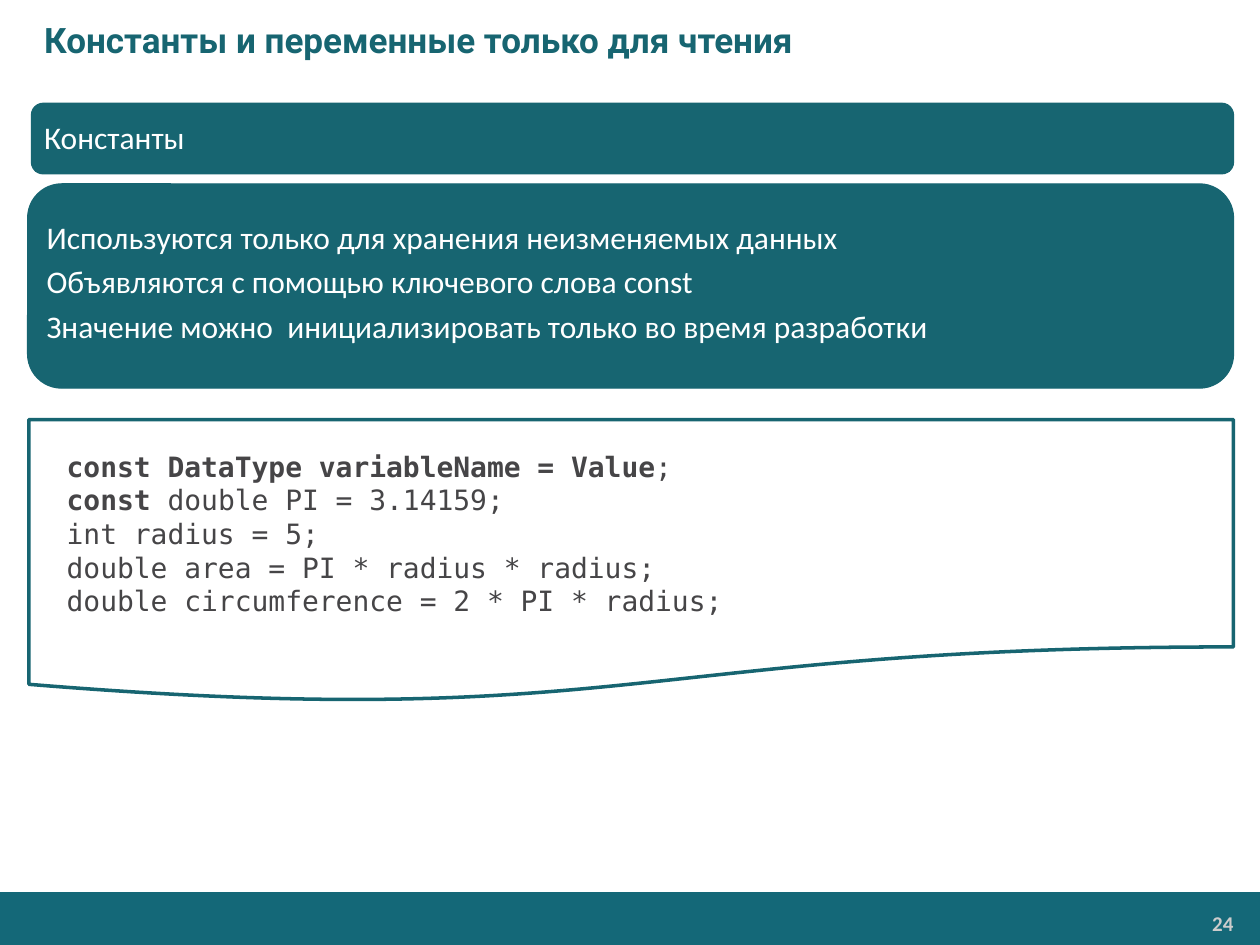
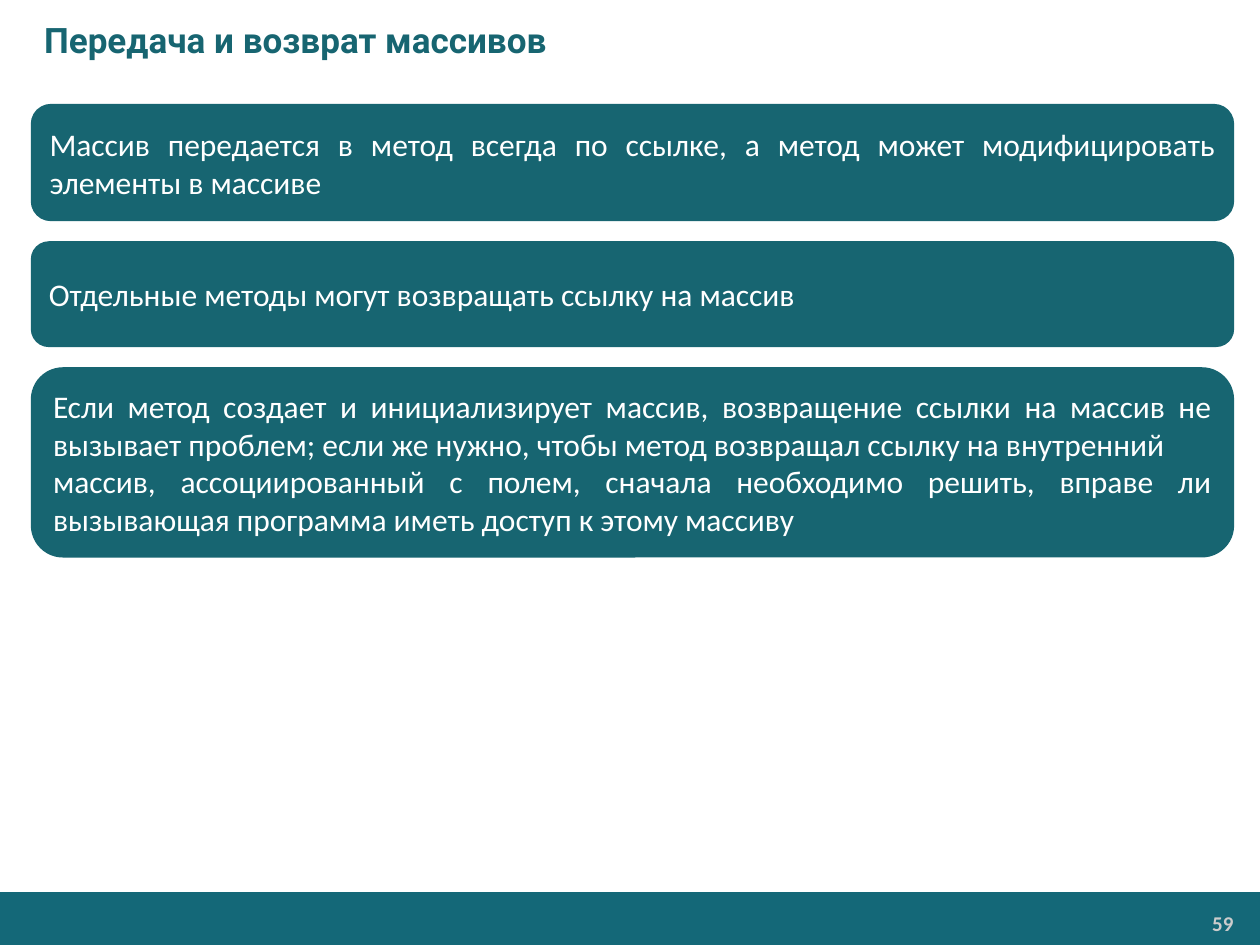
"""Builds two C# lecture slides: constants, and passing and returning arrays."""
from pptx import Presentation
from pptx.dml.color import RGBColor
from pptx.enum.shapes import MSO_SHAPE
from pptx.enum.text import MSO_ANCHOR, PP_ALIGN
from pptx.util import Inches, Pt

COLORS = {"teal": "176571", "band": "146878", "white": "FFFFFF", "number": "CCCCCC", "code": "464547"}
BODY_FONT, TITLE_FONT, CODE_FONT = "Calibri", "Roboto", "DejaVu Sans Mono"

CONSTANTS = {
    "title": "Константы и переменные только для чтения",
    "number": "24",
    "heading": "Константы",
    "facts": [
        "Используются только для хранения неизменяемых данных",
        "Объявляются с помощью ключевого слова const",
        "Значение можно  инициализировать только во время разработки",
    ],
    "code": [
        ("const DataType variableName = Value", ";"),
        ("const", " double PI = 3.14159;"),
        ("", "int radius = 5;"),
        ("", "double area = PI * radius * radius;"),
        ("", "double circumference = 2 * PI * radius;"),
    ],
}
ARRAYS = {
    "title": "Передача и возврат массивов",
    "number": "59",
    "cards": [
        (0.92, ["Массив передается в метод всегда по ссылке, а метод может модифицировать элементы в массиве"]),
        (0.83, ["Отдельные методы могут возвращать ссылку на массив"]),
        (1.5, [
            "Если метод создает и инициализирует массив, возвращение ссылки на массив не вызывает проблем; "
            "если же нужно, чтобы метод возвращал ссылку на внутренний",
            "массив, ассоциированный с полем, сначала необходимо решить, вправе ли вызывающая программа "
            "иметь доступ к этому массиву",
        ]),
    ],
}
CARD_LEFT, CARD_WIDTH, CARD_TOP, CARD_GAP = 0.25, 9.54, 0.83, 0.17


def color(name):
    return RGBColor.from_string(COLORS[name])


def style(font, name, size, fill, bold=False):
    font.name, font.size, font.bold = name, Pt(size), bold
    font.color.rgb = color(fill)


def add_panel(page, kind, place, fill="teal", line="teal", width=0.75):
    panel = page.shapes.add_shape(kind, *map(Inches, place))
    panel.shadow.inherit = False
    panel.fill.solid()
    panel.fill.fore_color.rgb = color(fill)
    if line:
        panel.line.color.rgb = color(line)
        panel.line.width = Pt(width)
    else:
        panel.line.fill.background()
    return panel


def set_margins(frame, side, edge):
    frame.margin_left = frame.margin_right = Inches(side)
    frame.margin_top = frame.margin_bottom = Inches(edge)


def write(box, lines, font=(BODY_FONT, 18, "white"), align=PP_ALIGN.JUSTIFY, anchor=MSO_ANCHOR.MIDDLE):
    frame = box.text_frame
    frame.word_wrap = True
    frame.vertical_anchor = anchor
    frame.text = "\n".join(lines)
    for para in frame.paragraphs:
        para.alignment = align
        for span in para.runs:
            style(span.font, *font)
    return frame


def write_spaced(box, lines):
    frame = write(box, lines)
    set_margins(frame, 0.07, 0.07)
    for para in frame.paragraphs:
        para.line_spacing = 0.9
        para.space_after = Pt(6)


def add_text_box(page, place):
    return page.shapes.add_textbox(*map(Inches, place))


def add_page(deck, content):
    page = deck.slides.add_slide(deck.slide_layouts[6])
    add_panel(page, MSO_SHAPE.RECTANGLE, (0, 7.08, 10.01, 0.43), "band", None)
    number = write(add_text_box(page, (8.23, 7.19, 1.63, 0.28)), [content["number"]],
                   (BODY_FONT, 12, "number", True), PP_ALIGN.RIGHT, MSO_ANCHOR.TOP)
    set_margins(number, 0.07, 0.04)
    title = write(add_text_box(page, (0, 0, 10, 0.63)), [content["title"]],
                  (TITLE_FONT, 20, "teal", True), PP_ALIGN.LEFT)
    title.margin_left = Inches(0.35)
    return page


def add_code(page, place, lines):
    panel = add_panel(page, MSO_SHAPE.FLOWCHART_DOCUMENT, place, "white", width=2)
    frame = write(panel, [""] * len(lines), align=PP_ALIGN.LEFT)
    frame.margin_left = Inches(0.3)
    for para, parts in zip(frame.paragraphs, lines):
        for text, bold in zip(parts, (True, False)):
            if text:
                span = para.add_run()
                span.text = text
                style(span.font, CODE_FONT, 16, "code", bold)


def build_constants(deck):
    page = add_page(deck, CONSTANTS)
    add_panel(page, MSO_SHAPE.ROUNDED_RECTANGLE, (0.22, 1.46, 9.57, 1.62))
    write_spaced(add_text_box(page, (0.3, 1.62, 8.6, 1.26)), CONSTANTS["facts"])
    add_panel(page, MSO_SHAPE.ROUNDED_RECTANGLE, (CARD_LEFT, 0.82, CARD_WIDTH, 0.56))
    heading = add_panel(page, MSO_SHAPE.RECTANGLE, (0.28, 0.85, 9.48, 0.51))
    write_spaced(heading, [CONSTANTS["heading"]])
    add_code(page, (0.23, 3.33, 9.56, 2.25), CONSTANTS["code"])


def build_arrays(deck):
    page = add_page(deck, ARRAYS)
    top = CARD_TOP
    for height, lines in ARRAYS["cards"]:
        write(add_panel(page, MSO_SHAPE.ROUNDED_RECTANGLE, (CARD_LEFT, top, CARD_WIDTH, height)), lines)
        top += height + CARD_GAP


def main():
    deck = Presentation()
    deck.slide_width, deck.slide_height = Inches(10), Inches(7.5)
    build_constants(deck)
    build_arrays(deck)
    deck.save("out.pptx")


if __name__ == "__main__":
    main()
